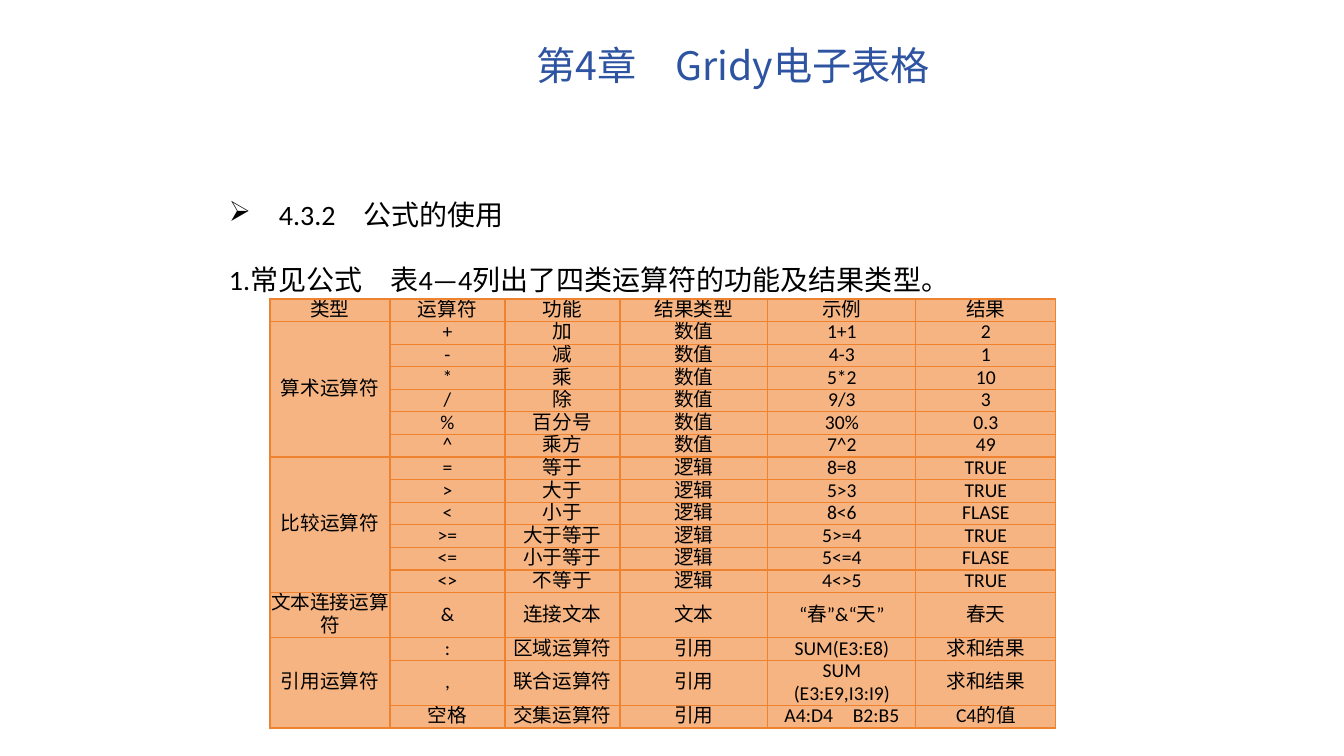
from dataclasses import dataclass
from lxml import etree
from pptx import Presentation
from pptx.dml.color import RGBColor
from pptx.enum.lang import MSO_LANGUAGE_ID
from pptx.enum.text import MSO_ANCHOR, MSO_AUTO_SIZE, PP_ALIGN
from pptx.oxml.ns import qn
from pptx.util import Emu, Pt

CENTER, RIGHT = PP_ALIGN.CENTER, PP_ALIGN.RIGHT
MIDDLE, NO_FIT = MSO_ANCHOR.MIDDLE, MSO_AUTO_SIZE.NONE
CHINESE = MSO_LANGUAGE_ID.SIMPLIFIED_CHINESE

SCALE = 914400 / 100.8
COLORS = {"title": "2E54A1", "text": "000000", "fill": "F5B482", "line": "EE822F"}
SANS, BODY = "Noto Sans CJK JP", "Calibri"
INDENT = 50
ROW = 22
COLS = [120, 115, 115, 148, 148, 140]
HEAD = ["类型", "运算符", "功能", "结果类型", "示例", "结果"]


@dataclass
class Group:
    name: str
    kind: str
    rows: list[tuple[str, str, str, str]]  # sign, use, sample, result


GROUPS = [
    Group("算术运算符", "数值", [
        ("+", "加", "1+1", "2"),
        ("-", "减", "4-3", "1"),
        ("*", "乘", "5*2", "10"),
        ("/", "除", "9/3", "3"),
        ("%", "百分号", "30%", "0.3"),
        ("^", "乘方", "7^2", "49"),
    ]),
    Group("比较运算符", "逻辑", [
        ("=", "等于", "8=8", "TRUE"),
        (">", "大于", "5>3", "TRUE"),
        ("<", "小于", "8<6", "FLASE"),
        (">=", "大于等于", "5>=4", "TRUE"),
        ("<=", "小于等于", "5<=4", "FLASE"),
        ("<>", "不等于", "4<>5", "TRUE"),
    ]),
    Group("文本连接运算符", "文本", [("&", "连接文本", "“春”&“天”", "春天")]),
    Group("引用运算符", "引用", [
        (":", "区域运算符", "SUM(E3:E8)", "求和结果"),
        (",", "联合运算符", "SUM\n(E3:E9,I3:I9)", "求和结果"),
        ("空格", "交集运算符", "A4:D4　B2:B5", "C4的值"),
    ]),
]


def px(n: int) -> Emu:
    return Emu(round(n * SCALE))


def add_run(para, text: str, size: int, face: str, color: str) -> None:
    run = para.add_run()
    run.text = text
    font = run.font
    font.size, font.name, font.bold = Pt(size), face, False
    font.color.rgb = RGBColor.from_string(COLORS[color])
    font.language_id = CHINESE
    east = etree.Element(qn("a:ea"), typeface=face)
    run._r.rPr.find(qn("a:latin")).addnext(east)


def set_edges(cell) -> None:
    props = cell._tc.get_or_add_tcPr()
    for i, side in enumerate(("lnL", "lnR", "lnT", "lnB")):
        line = etree.Element(qn(f"a:{side}"), w=str(Pt(1)))
        fill = etree.SubElement(line, qn("a:solidFill"))
        etree.SubElement(fill, qn("a:srgbClr"), val=COLORS["line"])
        props.insert(i, line)


def fill_cell(cell, text: str) -> None:
    cell.margin_left = cell.margin_right = cell.margin_top = cell.margin_bottom = 0
    cell.vertical_anchor = MIDDLE
    cell.fill.solid()
    cell.fill.fore_color.rgb = RGBColor.from_string(COLORS["fill"])
    set_edges(cell)
    frame = cell.text_frame
    for i, part in enumerate(text.split("\n")):
        para = frame.add_paragraph() if i else frame.paragraphs[0]
        para.alignment, para.line_spacing = CENTER, Pt(16.1)
        if part:
            add_run(para, part, 14, BODY, "text")


def add_title(slide) -> None:
    title = slide.shapes.title
    title.left, title.top, title.width, title.height = px(26), px(30), px(914), px(126)
    frame = title.text_frame
    frame.auto_size, frame.word_wrap = NO_FIT, True
    frame.vertical_anchor = MIDDLE
    frame.margin_bottom = px(55)
    para = frame.paragraphs[0]
    para.alignment, para.line_spacing = RIGHT, 0.9
    add_run(para, "第4章　Gridy电子表格", 28, SANS, "title")


def add_body(slide) -> None:
    box = slide.shapes.add_textbox(px(219), px(176), px(871), px(537))
    frame = box.text_frame
    frame.word_wrap = True
    lines = [("➢", "4.3.2　公式的使用"),
             ("", "1.常见公式　表4—4列出了四类运算符的功能及结果类型。")]
    for i, (mark, text) in enumerate(lines):
        para = frame.add_paragraph() if i else frame.paragraphs[0]
        props = para._p.get_or_add_pPr()
        props.set("marL", str(px(INDENT)))
        props.set("indent", str(-px(INDENT)))
        if mark:
            etree.SubElement(props, qn("a:buChar"), char=mark)
        para.line_spacing = 1.5
        if i:
            para.space_before = Pt(10)
        add_run(para, text, 20, BODY, "text")


def add_grid(slide) -> None:
    count = 1 + sum(len(group.rows) for group in GROUPS)
    shape = slide.shapes.add_table(count, len(COLS), px(270), px(299),
                                   px(sum(COLS)), px(428))
    table = shape.table
    for col, width in zip(table.columns, COLS):
        col.width = px(width)

    # Cell texts, one list a row
    grid = [HEAD]
    for group in GROUPS:
        for i, (sign, use, sample, result) in enumerate(group.rows):
            name = "" if i else group.name
            grid.append([name, sign, use, group.kind, sample, result])
    for r, texts in enumerate(grid):
        tall = len(texts[0]) > 6 or "\n" in texts[4]
        table.rows[r].height = px(2 * ROW + 1 if tall else ROW)
        for c, text in enumerate(texts):
            fill_cell(table.cell(r, c), text)

    # Each group name spans its rows
    top = 1
    for group in GROUPS:
        end = top + len(group.rows) - 1
        if end > top:
            table.cell(top, 0).merge(table.cell(end, 0))
        top = end + 1


def main() -> None:
    deck = Presentation()
    deck.slide_width, deck.slide_height = px(1344), px(756)
    slide = deck.slides.add_slide(deck.slide_layouts[5])
    add_body(slide)
    add_title(slide)
    add_grid(slide)
    deck.save("out.pptx")


if __name__ == "__main__":
    main()
